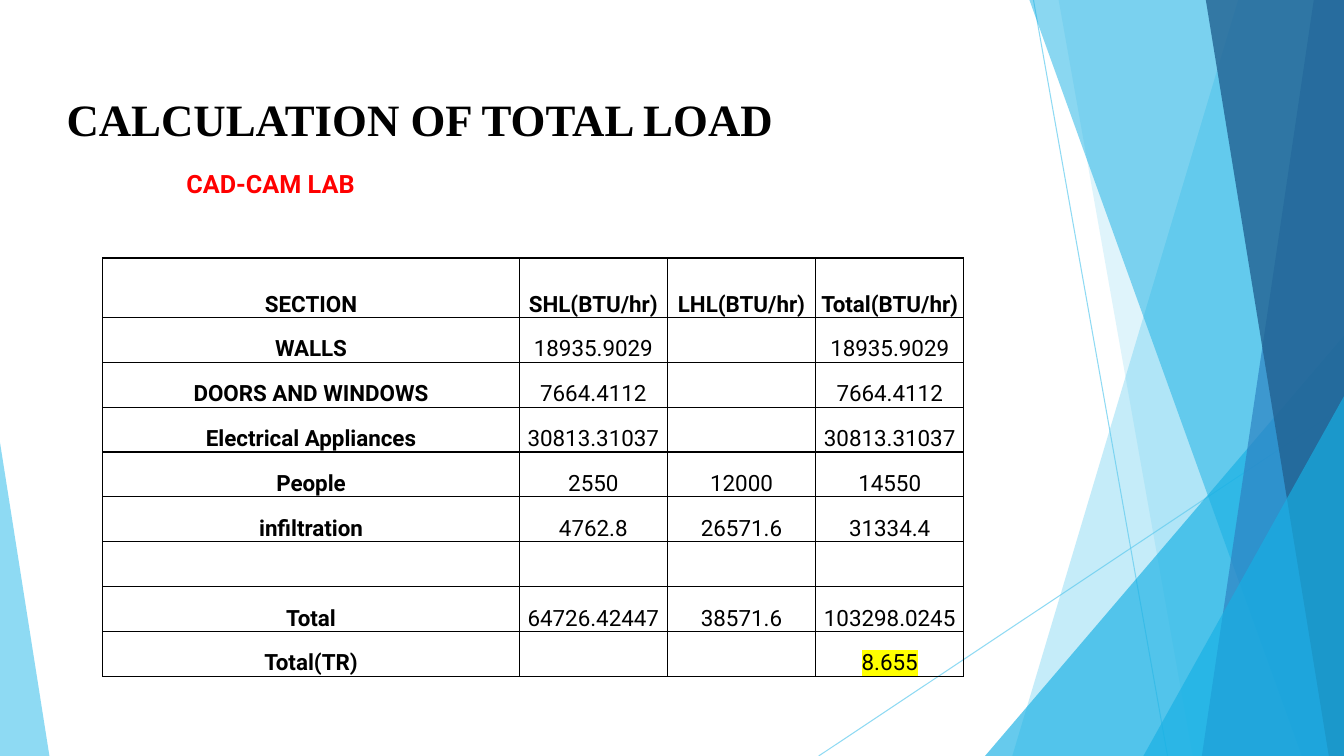
from lxml.etree import SubElement
from pptx import Presentation
from pptx.dml.color import RGBColor
from pptx.enum.shapes import MSO_CONNECTOR, MSO_SHAPE
from pptx.enum.text import MSO_ANCHOR, PP_ALIGN
from pptx.oxml.ns import qn
from pptx.util import Inches, Pt

WIDTH, HEIGHT = 13.33, 7.5
TITLE = "CALCULATION OF TOTAL LOAD"
SUBTITLE = "CAD-CAM LAB"
LOADS = [
    ("SECTION", "SHL(BTU/hr)", "LHL(BTU/hr)", "Total(BTU/hr)"),
    ("WALLS", "18935.9029", "", "18935.9029"),
    ("DOORS AND WINDOWS", "7664.4112", "", "7664.4112"),
    ("Electrical Appliances", "30813.31037", "", "30813.31037"),
    ("People", "2550", "12000", "14550"),
    ("infiltration", "4762.8", "26571.6", "31334.4"),
    ("", "", "", ""),
    ("Total", "64726.42447", "38571.6", "103298.0245"),
    ("Total(TR)", "", "", "8.655"),
]
HIGHLIGHTED = "8.655"
TABLE_LEFT, TABLE_TOP, TABLE_HEIGHT = 1.02, 2.56, 4.15
COLUMN_WIDTHS = [4.13, 1.47, 1.47, 1.47]
HEADER_HEIGHT = 0.59

THIN_LINES = [(10.25, 0, 11.58, HEIGHT), (WIDTH, 4.03, 8.12, HEIGHT)]
# Bands reach the right edge: top-left x, bottom-left x, colour, opacity.
# Triangles stand on the bottom edge: left, top, width, apex, colour, opacity.
DECORATIONS = [
    ("band", 12.28, 10.04, "5FCBEF", 36),
    ("band", 10.5, 11.83, "5FCBEF", 20),
    ("triangle", 9.77, 3.33, 3.56, 1, "17B0E4", 66),
    ("band", 10.21, 12.91, "17B0E4", 50),
    ("band", 13.03, 11.92, "2E83C3", 70),
    ("band", 11.96, 13.18, "226292", 80),
    ("triangle", 11.34, 3.93, 1.99, 1, "17B0E4", 66),
    ("triangle", 0, 4.39, 0.49, 0, "5FCBEF", 70),
]


def color(hex_string):
    return RGBColor.from_string(hex_string)


def set_opacity(element, percent):
    """Make the solid colour inside the element partly transparent."""
    rgb = next(element.iter(qn("a:srgbClr")))
    SubElement(rgb, qn("a:alpha"), val=str(percent * 1000))


def set_font(paragraph, name, size, hex_color="000000", bold=True):
    for run in paragraph.runs:
        run.font.name = name
        run.font.size = Pt(size)
        run.font.bold = bold
        run.font.color.rgb = color(hex_color)


def paint(shape, hex_color, opacity):
    shape.fill.solid()
    shape.fill.fore_color.rgb = color(hex_color)
    set_opacity(shape.fill._xPr, opacity)
    shape.line.fill.background()
    shape.shadow.inherit = False


def add_thin_line(slide, ends):
    line = slide.shapes.add_connector(MSO_CONNECTOR.STRAIGHT, *map(Inches, ends))
    line.line.color.rgb = color("5FCBEF")
    line.line.width = Pt(0.75)
    properties = line._element.spPr
    set_opacity(properties, 70)
    SubElement(properties, qn("a:effectLst"))


def add_band(slide, top_x, bottom_x, hex_color, opacity):
    builder = slide.shapes.build_freeform(Inches(top_x), 0)
    corners = [(WIDTH, 0), (WIDTH, HEIGHT), (bottom_x, HEIGHT)]
    builder.add_line_segments([(Inches(x), Inches(y)) for x, y in corners])
    paint(builder.convert_to_shape(), hex_color, opacity)


def add_triangle(slide, left, top, width, apex, hex_color, opacity):
    triangle = slide.shapes.add_shape(
        MSO_SHAPE.ISOSCELES_TRIANGLE,
        Inches(left), Inches(top), Inches(width), Inches(HEIGHT - top))
    triangle.adjustments[0] = apex
    paint(triangle, hex_color, opacity)


def add_borders(cell):
    properties = cell._tc.get_or_add_tcPr()
    for side in ("lnL", "lnR", "lnT", "lnB"):
        border = SubElement(properties, qn(f"a:{side}"), w=str(Pt(1)))
        fill = SubElement(border, qn("a:solidFill"))
        SubElement(fill, qn("a:srgbClr"), val="000000")


def highlight(run):
    mark = run._r.rPr.makeelement(qn("a:highlight"))
    SubElement(mark, qn("a:srgbClr"), val="FFFF00")
    run._r.rPr.find(qn("a:latin")).addprevious(mark)


def fill_cell(cell, text, bold):
    add_borders(cell)
    cell.fill.background()
    cell.margin_left = cell.margin_right = cell.margin_top = Inches(0.01)
    cell.margin_bottom = 0
    cell.vertical_anchor = MSO_ANCHOR.BOTTOM
    if not text:
        return
    cell.text_frame.text = text
    paragraph = cell.text_frame.paragraphs[0]
    paragraph.alignment = PP_ALIGN.CENTER
    set_font(paragraph, "Roboto", 16, bold=bold)
    if text == HIGHLIGHTED:
        highlight(paragraph.runs[0])


def add_load_table(slide):
    table = slide.shapes.add_table(
        len(LOADS), len(COLUMN_WIDTHS), Inches(TABLE_LEFT), Inches(TABLE_TOP),
        Inches(sum(COLUMN_WIDTHS)), Inches(TABLE_HEIGHT)).table
    table.first_row = table.horz_banding = False
    for column, width in zip(table.columns, COLUMN_WIDTHS):
        column.width = Inches(width)
    body_height = (TABLE_HEIGHT - HEADER_HEIGHT) / (len(LOADS) - 1)
    for row_index, texts in enumerate(LOADS):
        row = table.rows[row_index]
        row.height = Inches(body_height if row_index else HEADER_HEIGHT)
        for column_index, text in enumerate(texts):
            is_heading = row_index == 0 or column_index == 0
            fill_cell(row.cells[column_index], text, is_heading)


def add_title(slide):
    title = slide.shapes.title
    title.left, title.top = Inches(-1.48), Inches(0.63)
    title.width, title.height = Inches(11.29), Inches(1.17)
    title.text_frame.text = TITLE
    title.text_frame.vertical_anchor = MSO_ANCHOR.MIDDLE
    paragraph = title.text_frame.paragraphs[0]
    paragraph.alignment = PP_ALIGN.CENTER
    paragraph.line_spacing = 0.9
    set_font(paragraph, "Times New Roman", 32)


def add_subtitle(slide):
    box = slide.shapes.add_textbox(
        Inches(1.75), Inches(1.62), Inches(2.88), Inches(0.4))
    box.text_frame.word_wrap = True
    box.text_frame.text = SUBTITLE
    set_font(box.text_frame.paragraphs[0], "Roboto", 18, "FF0000")


def main():
    presentation = Presentation()
    presentation.slide_width = Inches(WIDTH)
    presentation.slide_height = Inches(HEIGHT)
    slide = presentation.slides.add_slide(presentation.slide_layouts[5])
    for ends in THIN_LINES:
        add_thin_line(slide, ends)
    for kind, *values in DECORATIONS:
        add_shape = add_band if kind == "band" else add_triangle
        add_shape(slide, *values)
    add_title(slide)
    add_subtitle(slide)
    add_load_table(slide)
    presentation.save("out.pptx")


if __name__ == "__main__":
    main()
